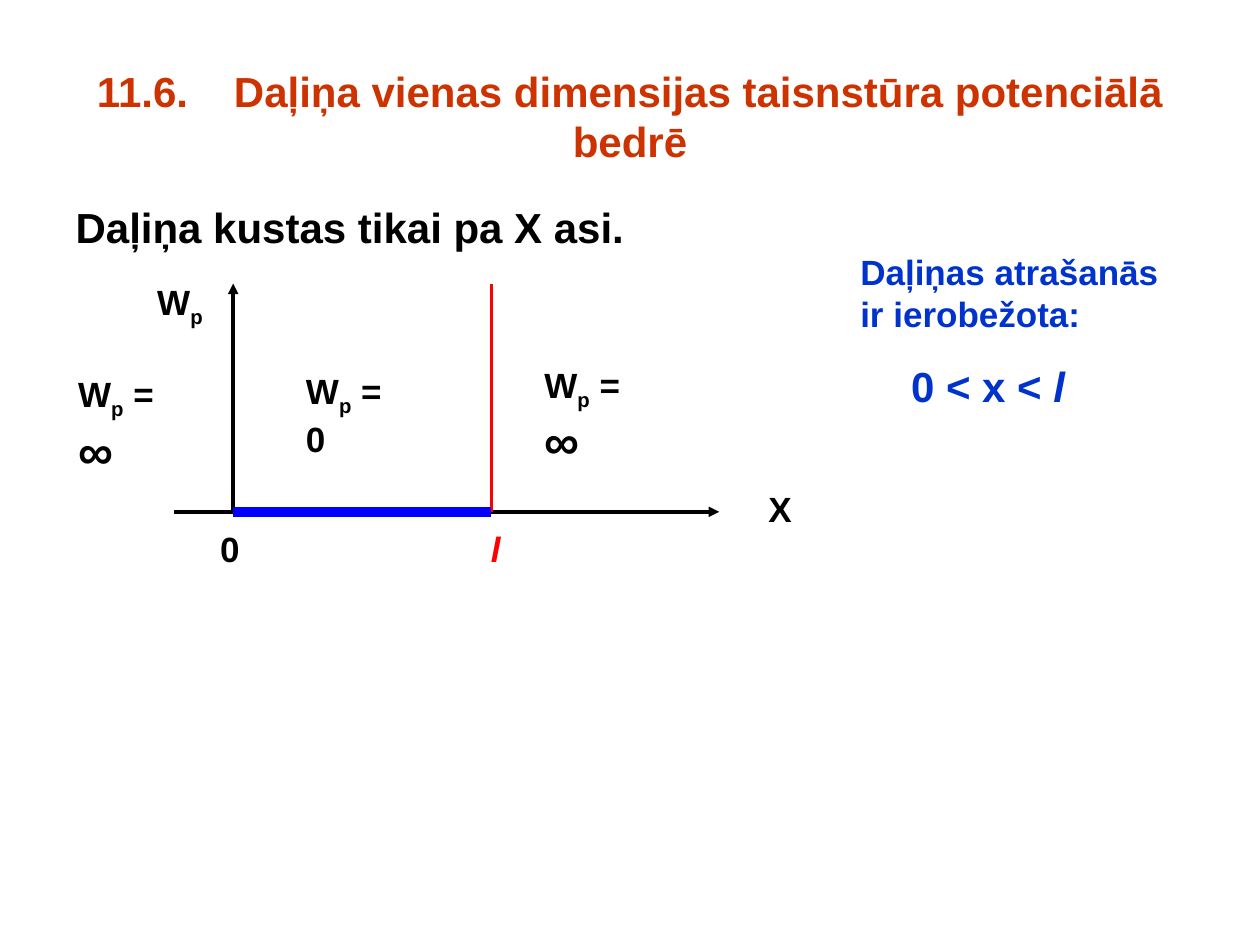
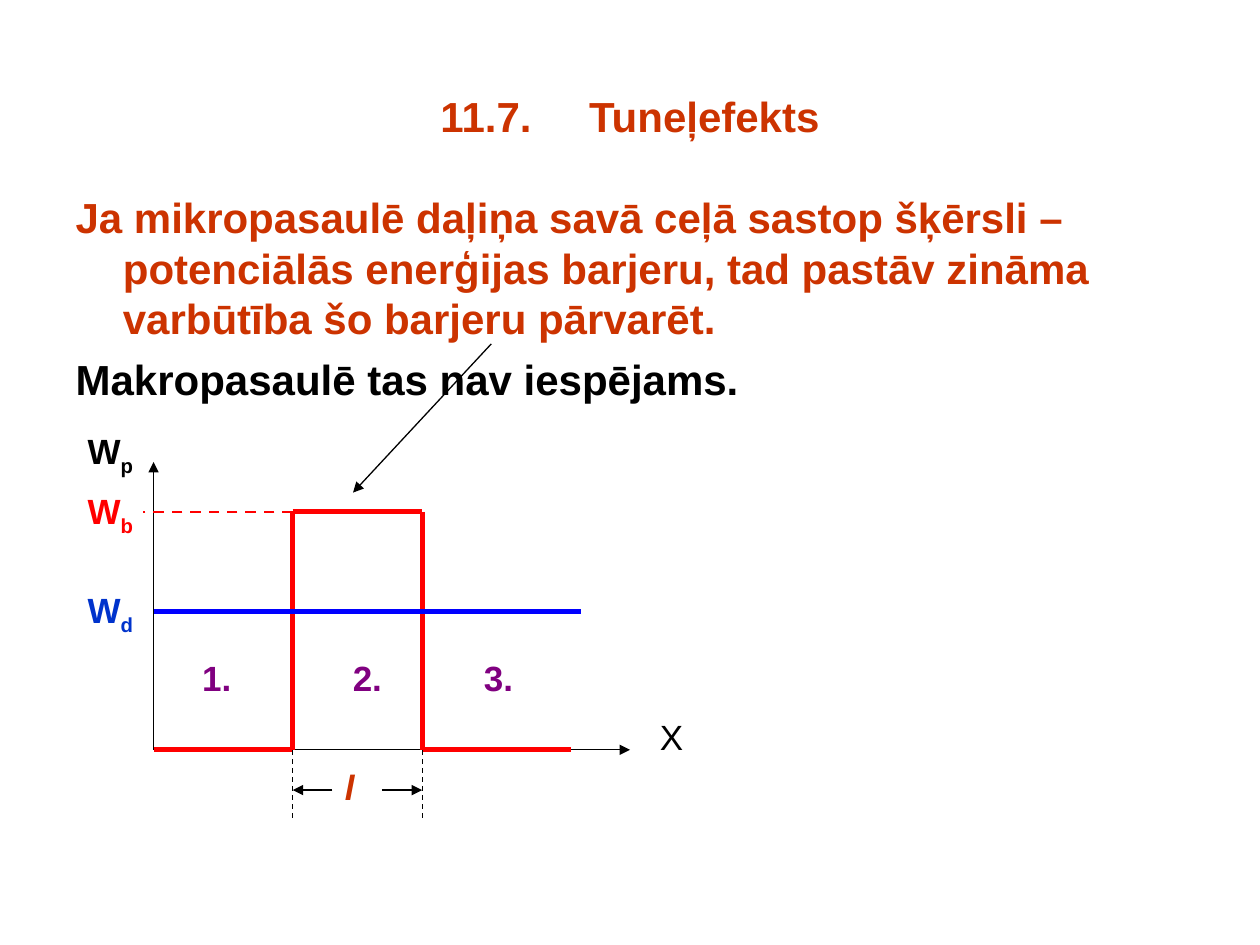
from dataclasses import dataclass

from lxml import etree
from pptx import Presentation
from pptx import util as u
from pptx.dml.color import RGBColor
from pptx.enum import dml, shapes, text
from pptx.oxml import ns


@dataclass(frozen=True)
class Theme:
    font: str = "Arial"
    black: str = "000000"
    rust: str = "CC3300"
    navy: str = "0033CC"
    blue: str = "0000FF"
    red: str = "FF0000"
    purple: str = "800080"
    heading: int = 24
    label: int = 20
    infinity: int = 28
    thin: float = 0.75
    dashed: float = 1.5
    axis: float = 2
    bold: float = 3
    segment: float = 5.5


THEME = Theme()
HANGING = 27

# Label fragments: (text, style)
WP = [("W", ""), ("p", "sub")]
WP_INFINITE = WP + [(" = ", ""), ("∞", "big")]
LENGTH = [("l", "italic")]


def place(shape, left, top, width, height):
    shape.left, shape.top = u.Pt(left), u.Pt(top)
    shape.width, shape.height = u.Pt(width), u.Pt(height)


def set_font(paragraph, color, size, bold=True):
    font = paragraph.font
    font.name, font.size, font.bold = THEME.font, u.Pt(size), bold
    font.color.rgb = RGBColor.from_string(color)


def add_property(paragraph, tag):
    return etree.SubElement(paragraph._p.get_or_add_pPr(), ns.qn(tag))


def heading(slide, number, name, name_offset):
    """Centred title; a tab stop sets the gap after the number."""
    title = slide.shapes.title
    place(title, 36, 21.5, 648, 89.5)
    frame = title.text_frame
    frame.auto_size = text.MSO_AUTO_SIZE.NONE
    frame.vertical_anchor = text.MSO_ANCHOR.MIDDLE
    paragraph = frame.paragraphs[0]
    paragraph.text = f"{number}\t{name}"
    paragraph.alignment = text.PP_ALIGN.CENTER
    stop = etree.SubElement(add_property(paragraph, "a:tabLst"), ns.qn("a:tab"))
    stop.set("pos", str(u.Pt(name_offset)))
    stop.set("algn", "l")
    set_font(paragraph, THEME.rust, THEME.heading)


def statements(slide, top, height, lines):
    """Body list without bullets, with hanging indents."""
    body = slide.placeholders[1]
    place(body, 36, top, 648, height)
    frame = body.text_frame
    frame.auto_size = text.MSO_AUTO_SIZE.NONE
    for index, (words, color) in enumerate(lines):
        paragraph = frame.add_paragraph() if index else frame.paragraphs[0]
        paragraph.text = words
        paragraph.space_before = u.Pt(6 if index else 0)
        properties = paragraph._p.get_or_add_pPr()
        properties.set("marL", str(u.Pt(HANGING)))
        properties.set("indent", str(-u.Pt(HANGING)))
        add_property(paragraph, "a:buNone")
        set_font(paragraph, color, THEME.heading)


def label(slide, box, *lines, color=THEME.black, size=THEME.label, bold=True):
    """Text label; each line is a string or a list of fragments."""
    note = slide.shapes.add_textbox(*(u.Pt(length) for length in box))
    frame = note.text_frame
    frame.word_wrap = False
    frame.auto_size = text.MSO_AUTO_SIZE.SHAPE_TO_FIT_TEXT
    for index, line in enumerate(lines):
        paragraph = frame.add_paragraph() if index else frame.paragraphs[0]
        fragments = [(line, "")] if isinstance(line, str) else line
        for words, style in fragments:
            run = paragraph.add_run()
            run.text = words
            if style == "sub":
                run._r.get_or_add_rPr().set("baseline", "-25000")
            elif style == "italic":
                run.font.italic = True
            elif style == "big":
                run.font.size = u.Pt(THEME.infinity)
        set_font(paragraph, color, size, bold)


def line(slide, start, end, color=THEME.black, weight=THEME.thin,
         arrow=False, dash=False):
    stroke = slide.shapes.add_connector(
        shapes.MSO_CONNECTOR.STRAIGHT, *(u.Pt(c) for c in (*start, *end)))
    stroke.line.color.rgb = RGBColor.from_string(color)
    stroke.line.width = u.Pt(weight)
    if dash:
        stroke.line.dash_style = dml.MSO_LINE.DASH
    if arrow:
        tip = etree.SubElement(stroke.line._get_or_add_ln(), ns.qn("a:tailEnd"))
        tip.set("type", "triangle")
    etree.SubElement(stroke._element.spPr, ns.qn("a:effectLst"))


def potential_well(slide):
    heading(slide, "11.6.", "Daļiņa vienas dimensijas taisnstūra potenciālā bedrē", 78.3)
    statements(slide, 111.5, 391, [("Daļiņa kustas tikai pa X asi.", THEME.black)])

    # Axes and walls of the well
    left_wall, right_wall, ground, top = 133.25, 280.75, 292.5, 162
    line(slide, (99.25, ground), (411, ground), weight=THEME.axis, arrow=True)
    line(slide, (left_wall, ground), (left_wall, top), weight=THEME.axis, arrow=True)
    line(slide, (right_wall, ground), (right_wall, top), THEME.red, THEME.axis)
    line(slide, (left_wall, ground), (right_wall, ground), THEME.blue, THEME.segment)

    # Axis labels
    label(slide, (432, 275, 27.5, 31.5), "X")
    label(slide, (82.75, 157, 40.5, 34.5), WP)
    label(slide, (118.75, 298, 25.25, 31.5), "0")
    label(slide, (273.5, 298, 19.5, 31.5), LENGTH, color=THEME.red)

    # Potential energy by region
    label(slide, (37.5, 209.5, 82.75, 42.5), WP_INFINITE)
    label(slide, (304, 204, 82.75, 42.5), WP_INFINITE)
    label(slide, (167.75, 207.5, 74, 34.5), WP + [(" = 0", "")])

    # Allowed positions
    label(slide, (513.5, 202.5, 102.25, 36), [("0 < x < ", "")] + LENGTH,
          color=THEME.navy, size=THEME.heading)
    label(slide, (484.5, 139.5, 190, 55.5), "Daļiņas atrašanās", "ir ierobežota:",
          color=THEME.navy)


def tunnel_effect(slide):
    heading(slide, "11.7.", "Tuneļefekts", 85)
    statements(slide, 106, 402.5, [
        ("Ja mikropasaulē daļiņa savā ceļā sastop šķērsli – potenciālās enerģijas "
         "barjeru, tad pastāv zināma varbūtība šo barjeru pārvarēt.", THEME.rust),
        ("Makropasaulē tas nav iespējams.", THEME.black),
    ])

    # Axes
    origin, ground = 87.75, 428.5
    line(slide, (origin, ground), (360, ground), arrow=True)
    line(slide, (origin, ground), (origin, 264), arrow=True)

    # Barrier profile
    near, far, barrier_top = 167.25, 241.25, 292.5
    profile = [(origin, ground), (near, ground), (near, barrier_top),
               (far, barrier_top), (far, ground), (326.25, ground)]
    for start, end in zip(profile, profile[1:]):
        line(slide, start, end, THEME.red, THEME.bold)

    # Barrier width
    width_level = 451.5
    for edge, inner in ((near, 190), (far, 218.25)):
        line(slide, (edge, ground), (edge, 468.75), dash=True)
        line(slide, (inner, width_level), (edge, width_level), arrow=True)
    label(slide, (190, 434, 20.25, 31.5), LENGTH, color=THEME.rust)

    # Energy levels
    line(slide, (origin, 349.25), (332, 349.25), THEME.blue, THEME.bold)
    line(slide, (near, barrier_top), (82, barrier_top), THEME.red, THEME.dashed, dash=True)
    levels = [("p", 242, THEME.black), ("b", 276, THEME.red), ("d", 332.75, THEME.navy)]
    for index, top, color in levels:
        label(slide, (43, top, 40.5, 34.5), [("W", ""), (index, "sub")], color=color)
    label(slide, (370, 405.5, 27.5, 31.5), "X", bold=False)

    # Regions
    for number, left in enumerate((108.5, 194.5, 269.5), start=1):
        label(slide, (left, 371.5, 31, 31.5), f"{number}.", color=THEME.purple)

    # Pointer from the statement to the barrier
    line(slide, (280.75, 196.5), (201.75, 281.5), arrow=True)


def main():
    deck = Presentation()
    deck.slide_width, deck.slide_height = u.Pt(720), u.Pt(540)
    for build in (potential_well, tunnel_effect):
        build(deck.slides.add_slide(deck.slide_layouts[1]))
    deck.save("out.pptx")


if __name__ == "__main__":
    main()
